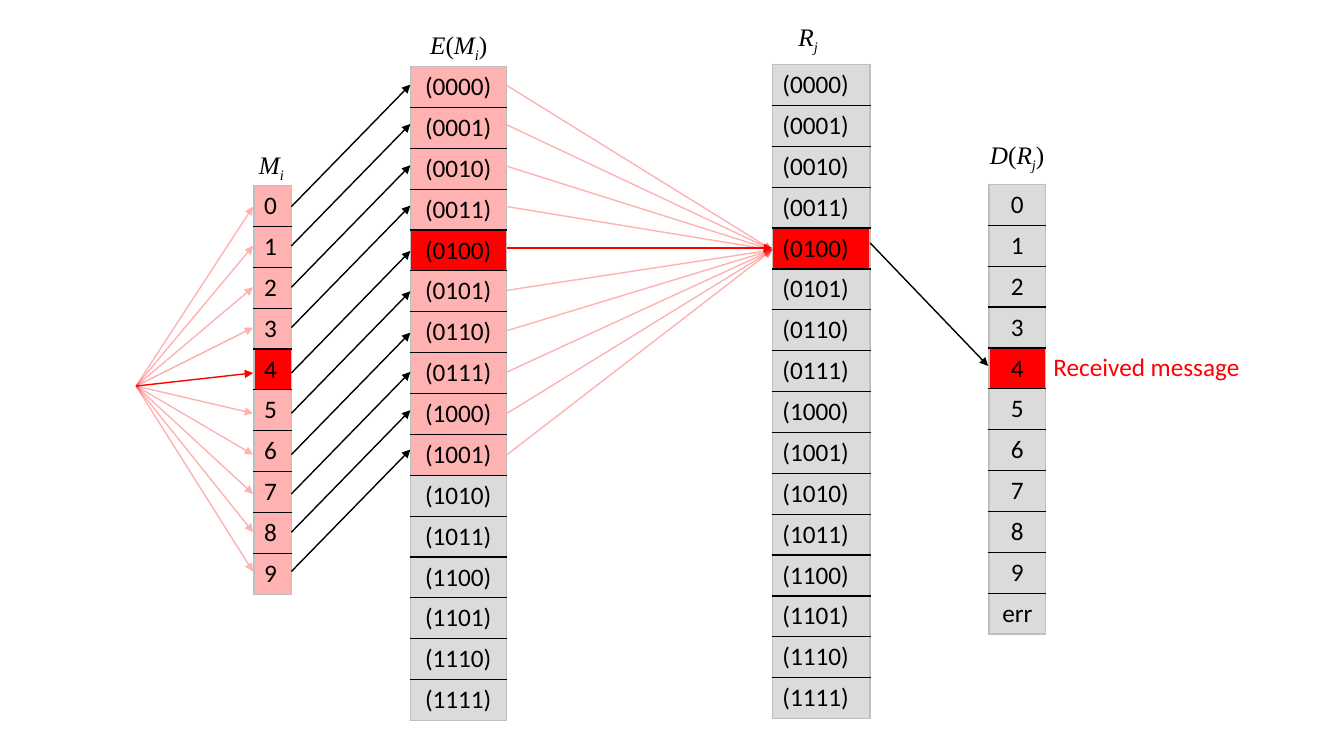
from lxml import etree
from pptx import Presentation
from pptx import util as u
from pptx.dml.color import RGBColor
from pptx.enum import shapes, text
from pptx.oxml.ns import qn

PX = 9144  # 100 px to the inch
RED, GREY, BLACK, EDGE = "FF0000", "DBDBDB", "000000", "BFBFBF"
PALE = 30  # opacity of the alternatives, percent
SENT = 4
ROW = 40.56
CENTER, LEFT = text.PP_ALIGN.CENTER, text.PP_ALIGN.LEFT

DIGITS = [str(n) for n in range(10)]
CODES = [f"({n:04b})" for n in range(16)]

# entries, left, top, width, rows in pale red, alignment
COLUMNS = [
    (DIGITS, 252, 184, 37, 10, LEFT),
    (CODES, 407, 66, 95, 10, CENTER),
    (CODES, 766, 64, 97, 0, LEFT),
    (DIGITS + ["err"], 981, 183, 56, 0, CENTER),
]
# formula, left, top, width, wrap, alignment
HEADINGS = [
    ("Mi", 247, 143, 47, True, LEFT),
    ("E(Mi)", 416, 24, 78, False, CENTER),
    ("Rj", 782, 16, 40, False, LEFT),
    ("D(Rj)", 972, 133, 97, True, LEFT),
]
RESULT = ("Received message", 1035, 344, 207, False, LEFT)

SOURCE = (135, 383)
MESSAGE_Y = [205, 244, 285, 325, 370, 410, 451, 490, 528, 567]
CODE_Y = [85, 124, 165, 205, 246, 288, 328, 369, 410, 451]
ENCODE_RISE = 121
RECEIVED_Y = 248
DECODE = ((863, 241), (980, 363))


def px(*lengths):
    return [u.Emu(round(length * PX)) for length in lengths]


def rgb(value):
    return RGBColor.from_string(value)


def paint(fill, color, opacity=100):
    fill.solid()
    fill.fore_color.rgb = rgb(color)
    if opacity < 100:
        # the colour element is reached through the fill's own XML
        srgb = fill.fore_color._xFill.find(qn("a:srgbClr"))
        etree.SubElement(srgb, qn("a:alpha"), val=str(opacity * 1000))


def format_with(target, values):
    for name, value in values.items():
        setattr(target, name, value)


def add_span(para, words, font, color, **values):
    span = para.add_run()
    span.text = words
    format_with(span.font, dict(name=font, size=u.Pt(18), **values))
    span.font.color.rgb = rgb(color)
    return span


def add_border(cell, side, color):
    line = etree.SubElement(cell._tc.get_or_add_tcPr(), qn(f"a:ln{side}"), w=str(u.Pt(1)))
    solid = etree.SubElement(line, qn("a:solidFill"))
    etree.SubElement(solid, qn("a:srgbClr"), val=color)


def add_column(page, entries, left, top, width, pale_rows, align):
    count = len(entries)
    table = page.shapes.add_table(count, 1, *px(left, top, width, ROW * count)).table
    format_with(table, dict(first_row=False, horz_banding=False))
    for index, entry in enumerate(entries):
        table.rows[index].height = px(ROW)[0]
        cell = table.cell(index, 0)
        sides = dict(L=EDGE, R=EDGE, T=BLACK if index else EDGE,
                     B=BLACK if index < count - 1 else EDGE)
        for side, color in sides.items():
            add_border(cell, side, color)
        if index == SENT:
            paint(cell.fill, RED)
        elif index < pale_rows:
            paint(cell.fill, RED, PALE)
        else:
            paint(cell.fill, GREY)
        para = cell.text_frame.paragraphs[0]
        para.alignment = align
        add_span(para, entry, "Calibri", BLACK)


def add_arrow(parent, start, end, color, opacity=100):
    arrow = parent.shapes.add_connector(shapes.MSO_CONNECTOR.STRAIGHT, *px(*start, *end))
    arrow.line.width = u.Pt(1)
    paint(arrow.line.fill, color, opacity)
    etree.SubElement(arrow.line._get_or_add_ln(), qn("a:tailEnd"), type="triangle")
    etree.SubElement(arrow._element.spPr, qn("a:effectLst"))


def add_box(page, left, top, width, wrap, align):
    """Add an empty one-line text box and return its paragraph."""
    frame = page.shapes.add_textbox(*px(left, top, width, 40)).text_frame
    format_with(frame, dict(word_wrap=wrap, auto_size=text.MSO_AUTO_SIZE.SHAPE_TO_FIT_TEXT))
    para = frame.paragraphs[0]
    para.alignment = align
    return para


def add_formula(page, formula, *place):
    """Letters are italic, and lower-case letters are subscripts."""
    para = add_box(page, *place)
    for sign in formula:
        span = add_span(para, sign, "Times New Roman", BLACK, italic=sign.isalpha())
        if sign.islower():
            span.font._element.set("baseline", "-25000")


def main():
    deck = Presentation()
    deck.slide_width, deck.slide_height = px(1333, 750)
    page = deck.slides.add_slide(deck.slide_layouts[6])

    for column in COLUMNS:
        add_column(page, *column)

    encoding = page.shapes.add_group_shape()
    for y in MESSAGE_Y:
        add_arrow(encoding, (289, y), (407, y - ENCODE_RISE), BLACK)
    add_arrow(page, *DECODE, BLACK)

    # the sent message lies beneath its alternatives
    for index in sorted(range(len(DIGITS)), key=lambda n: n != SENT):
        sent = index == SENT
        opacity = 100 if sent else PALE
        add_arrow(page, SOURCE, (251, MESSAGE_Y[index]), RED, opacity)
        received_y = CODE_Y[SENT] if sent else RECEIVED_Y
        add_arrow(page, (503, CODE_Y[index]), (766, received_y), RED, opacity)

    for heading in HEADINGS:
        add_formula(page, *heading)
    words, *place = RESULT
    add_span(add_box(page, *place), words, "Calibri", RED)

    deck.save("out.pptx")


if __name__ == "__main__":
    main()
